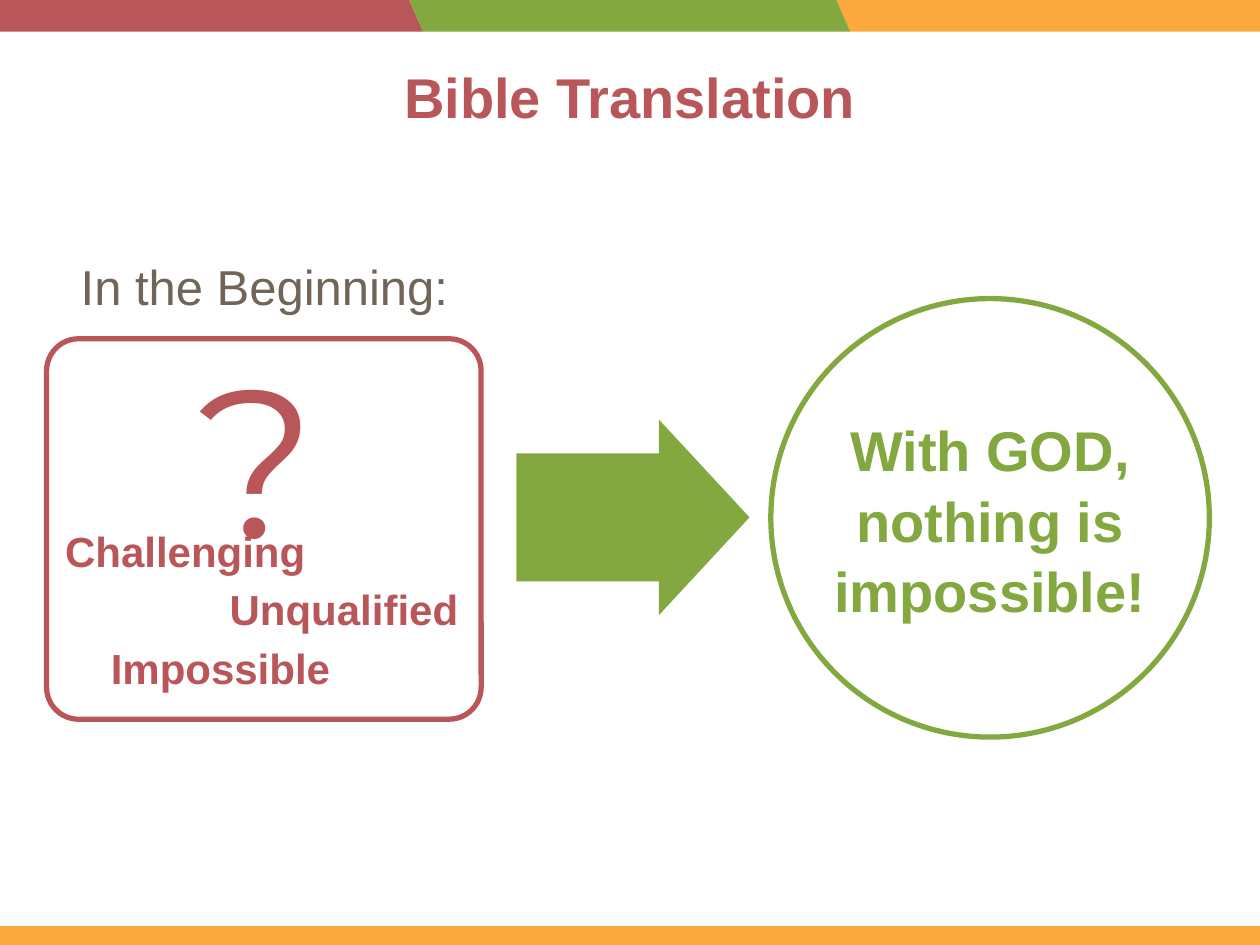
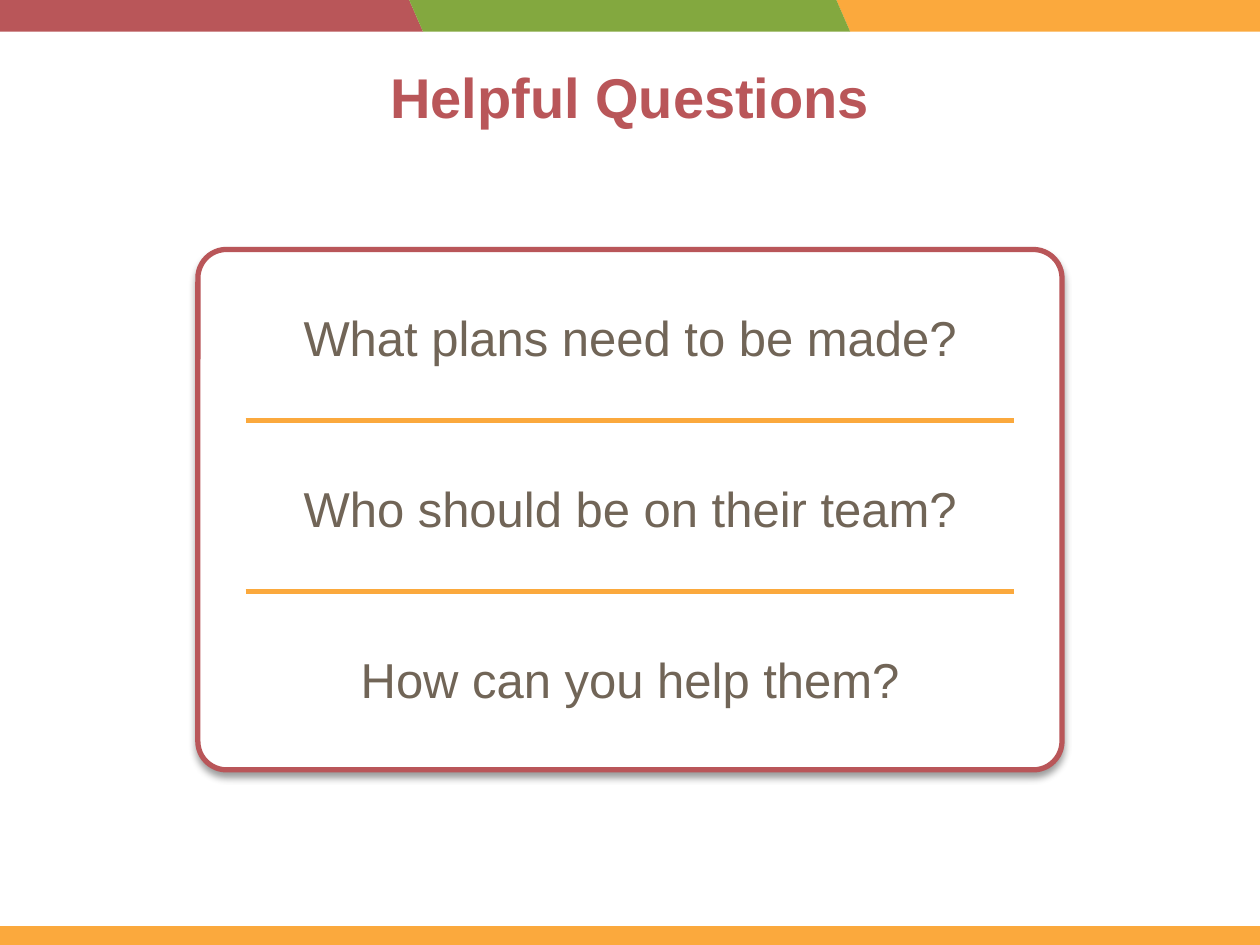
from dataclasses import dataclass

from lxml import etree
from pptx import Presentation
from pptx.dml.color import RGBColor
from pptx.enum.shapes import MSO_CONNECTOR, MSO_SHAPE
from pptx.enum.text import MSO_ANCHOR, MSO_AUTO_SIZE, PP_ALIGN
from pptx.oxml.ns import qn
from pptx.util import Cm, Pt

SLANT = MSO_SHAPE.PARALLELOGRAM
RECT = MSO_SHAPE.RECTANGLE
ROUND = MSO_SHAPE.ROUNDED_RECTANGLE
OVAL = MSO_SHAPE.OVAL
ARROW = MSO_SHAPE.RIGHT_ARROW
STRAIGHT = MSO_CONNECTOR.STRAIGHT
TOP = MSO_ANCHOR.TOP
MIDDLE = MSO_ANCHOR.MIDDLE
CENTER = PP_ALIGN.CENTER
FIXED = MSO_AUTO_SIZE.NONE
TITLE_ONLY = 5


@dataclass(frozen=True)
class Theme:
    red: str = "B95659"
    green: str = "83A83F"
    gold: str = "FBA93D"
    brown: str = "716557"
    white: str = "FFFFFF"
    black: str = "000000"
    font: str = "Arial"
    mark_font: str = "Montserrat"
    word: int = 24
    body: int = 28
    head: int = 32
    mark: int = 120
    stroke: int = 3
    leading: float = 1.05


@dataclass(frozen=True)
class Box:
    left: float
    top: float
    width: float
    height: float

    def lengths(self) -> list:
        return [Cm(n) for n in (self.left, self.top, self.width, self.height)]


@dataclass(frozen=True)
class Form:
    kind: int
    box: Box
    fill: str = ""
    line: str = ""
    adjust: tuple = ()


THEME = Theme()
STEP = 8.61
BANDS = [
    Form(SLANT, Box(-0.36 + i * STEP, 0, 8.89, 0.64), color, adjust=(0.436,))
    for i, color in ((2, THEME.gold), (0, THEME.red), (1, THEME.green))
]
FOOTER = Form(RECT, Box(0, 18.67, 25.4, 0.38), THEME.gold)
TITLE = Box(1.75, 1.07, 21.9, 3.68)


def draw(slide, form: Form):
    shape = slide.shapes.add_shape(form.kind, *form.box.lengths())
    shape.shadow.inherit = False
    for i, value in enumerate(form.adjust):
        shape.adjustments[i] = value
    if form.fill:
        shape.fill.solid()
        shape.fill.fore_color.rgb = RGBColor.from_string(form.fill)
    else:
        shape.fill.background()
    if form.line:
        shape.line.color.rgb = RGBColor.from_string(form.line)
        shape.line.width = Pt(THEME.stroke)
    else:
        shape.line.fill.background()
    return shape


def write(shape, text: str, *, size: int = THEME.body, color: str = THEME.brown,
          bold: bool = False, font: str = THEME.font, anchor=MIDDLE) -> None:
    frame = shape.text_frame
    frame.word_wrap = True
    frame.auto_size = FIXED
    frame.vertical_anchor = anchor
    line = frame.paragraphs[0]
    line.text = text
    line.alignment = CENTER
    line.line_spacing = THEME.leading
    for run in line.runs:
        run.font.name = font
        run.font.size = Pt(size)
        run.font.bold = bold
        run.font.color.rgb = RGBColor.from_string(color)


def label(slide, box: Box, text: str, **style) -> None:
    write(slide.shapes.add_textbox(*box.lengths()), text, **style)


def rule(slide, left: float, right: float, top: float) -> None:
    line = slide.shapes.add_connector(STRAIGHT, Cm(left), Cm(top), Cm(right), Cm(top))
    line.line.color.rgb = RGBColor.from_string(THEME.gold)
    line.line.width = Pt(THEME.stroke)
    etree.SubElement(line.element.spPr, qn("a:effectLst"))


def shade(shape) -> None:
    effects = shape.element.spPr.find(qn("a:effectLst"))
    outer = etree.SubElement(effects, qn("a:outerShdw"), blurRad=str(Pt(4)),
                             dist=str(Pt(3)), dir="5400000", rotWithShape="0")
    color = etree.SubElement(outer, qn("a:srgbClr"), val=THEME.black)
    etree.SubElement(color, qn("a:alpha"), val="40000")


def start(deck, title: str):
    slide = deck.slides.add_slide(deck.slide_layouts[TITLE_ONLY])
    for band in BANDS:
        draw(slide, band).element.spPr.find(qn("a:xfrm")).set("flipH", "1")
    draw(slide, FOOTER)
    head = slide.shapes.title
    head.left, head.top, head.width, head.height = TITLE.lengths()
    write(head, title, size=THEME.head, color=THEME.red, bold=True, anchor=TOP)
    return slide


def bible(deck) -> None:
    slide = start(deck, "Bible Translation")
    draw(slide, Form(ROUND, Box(0.94, 6.83, 8.76, 7.67), THEME.white, THEME.red, (0.084,)))
    label(slide, Box(3.45, 7.29, 3.48, 3.48), "?", size=THEME.mark,
          color=THEME.red, font=THEME.mark_font)
    words = (("Challenging", 0.94), ("Unqualified", 4.14), ("Impossible", 1.65))
    for i, (word, left) in enumerate(words):
        label(slide, Box(left, 10.44 + i * 1.18, 5.59, 1.27), word,
              size=THEME.word, color=THEME.red, bold=True)
    label(slide, Box(0.91, 5, 8.84, 1.45), "In the Beginning:")
    draw(slide, Form(OVAL, Box(15.54, 6.02, 8.84, 8.84), line=THEME.green))
    label(slide, Box(15.54, 8.26, 8.84, 4.37), "With GOD,\vnothing is impossible!",
          size=THEME.head, color=THEME.green, bold=True)
    draw(slide, Form(ARROW, Box(10.41, 8.46, 4.7, 3.94), THEME.green, adjust=(0.655, 0.463)))


def helpful(deck) -> None:
    slide = start(deck, "Helpful Questions")
    shade(draw(slide, Form(ROUND, Box(3.99, 5.03, 17.42, 10.49),
                           THEME.white, THEME.red, (0.055,))))
    asks = ("What plans need to be made?", "Who should be on their team?",
            "How can you help them?")
    pitch = 3.45
    for i, ask in enumerate(asks):
        label(slide, Box(5.23, 6.04 + i * pitch, 14.94, 1.45), ask)
        if i:
            rule(slide, 4.95, 20.45, 5.03 + i * pitch)


def main() -> None:
    deck = Presentation()
    deck.slide_width, deck.slide_height = Cm(25.4), Cm(19.05)
    bible(deck)
    helpful(deck)
    deck.save("out.pptx")


main()
